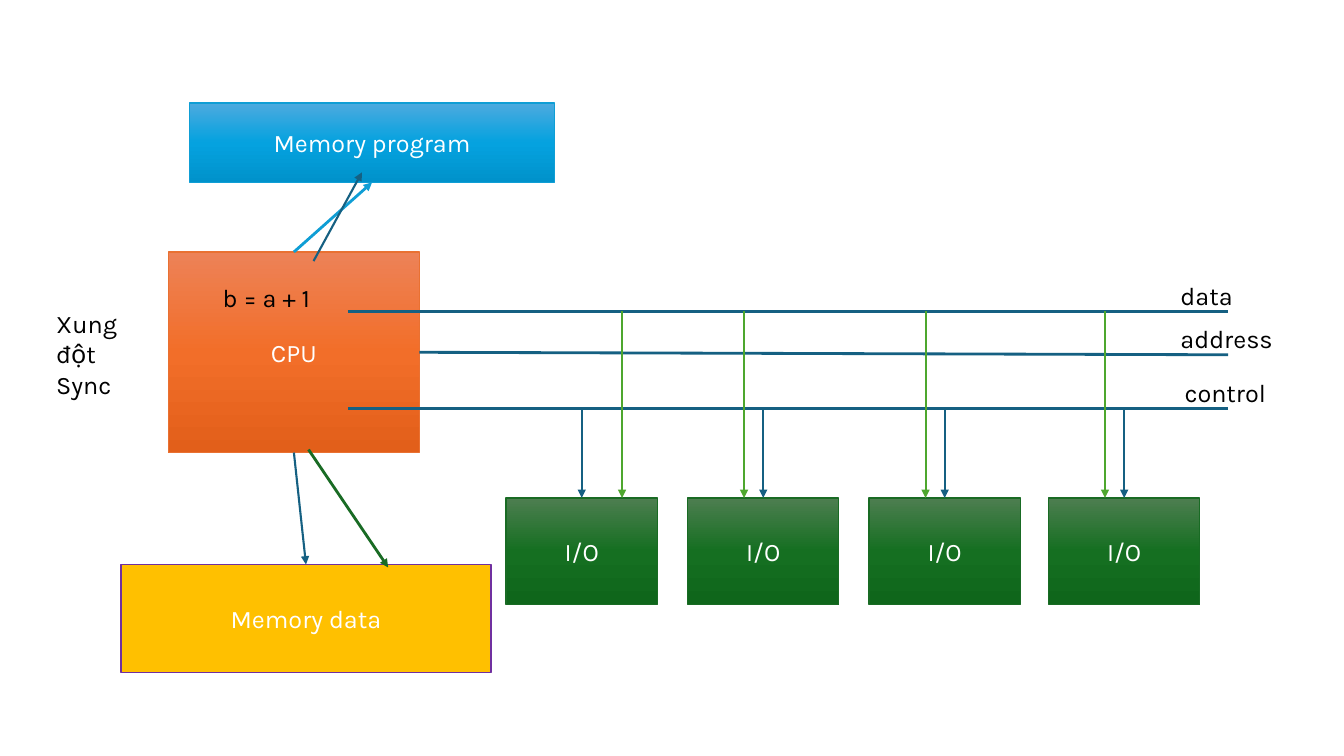
"""Draw a CPU with its memories, its three buses and four I/O blocks."""
from copy import deepcopy

from pptx import Presentation
from pptx.dml.color import RGBColor
from pptx.enum.shapes import MSO_CONNECTOR, MSO_SHAPE
from pptx.enum.text import MSO_ANCHOR, PP_ALIGN
from pptx.oxml.ns import qn
from pptx.util import Inches, Pt
from lxml.etree import SubElement

HUES = {
    "white": "FFFFFF", "black": "000000", "teal": "156082",
    "blue": "0F9ED5", "green": "196B24", "lime": "4EA72E",
    "orange": "E97132", "gold": "FFC000", "purple": "7030A0",
}
FADES = {
    "orange": ("ED8257", "F26E29", "E25F1A"),
    "blue": ("4CAADF", "05A2DF", "0092CB"),
    "green": ("4D7E50", "156F21", "0F661B"),
}


def write(shape, lines, hue, align):
    frame = shape.text_frame
    frame.word_wrap = True
    for i, line in enumerate(lines):
        para = frame.add_paragraph() if i else frame.paragraphs[0]
        para.alignment = align
        run = para.add_run()
        run.text = line
        run.font.name = "Karla"
        run.font.size = Pt(18)
        run.font.color.rgb = RGBColor.from_string(HUES[hue])


def wire(start, end, hue, width, tip=True):
    line = slide.shapes.add_connector(
        MSO_CONNECTOR.STRAIGHT, *[Inches(n) for n in start + end])
    line.line.color.rgb = RGBColor.from_string(HUES[hue])
    line.line.width = Pt(width)
    if tip:
        SubElement(line.line._get_or_add_ln(), qn("a:tailEnd"), type="triangle")
    SubElement(line._element.spPr, qn("a:effectLst"))
    return line


deck = Presentation()
deck.slide_width = Inches(13.33)
deck.slide_height = Inches(7.5)
slide = deck.slides.add_slide(deck.slide_layouts[6])

ports = [5.02, 6.82, 8.62, 10.4]
blocks = [
    ("CPU", 1.67, 2.5, 2.49, 1.99, "orange", "orange"),
    ("Memory program", 1.88, 1.02, 3.62, 0.79, "blue", "blue"),
    ("Memory data", 1.2, 5.6, 3.67, 1.07, "gold", "purple"),
] + [("I/O", x, 4.94, 1.5, 1.06, "green", "green") for x in ports]
made = []
for name, x, y, w, h, hue, edge in blocks:
    box = slide.shapes.add_shape(
        MSO_SHAPE.RECTANGLE, Inches(x), Inches(y), Inches(w), Inches(h))
    box.shadow.inherit = False
    if hue in FADES:
        box.fill.gradient()
        box.fill.gradient_angle = 270
        stops = box._element.spPr.find(qn("a:gradFill")).find(qn("a:gsLst"))
        stops.append(deepcopy(stops[-1]))
        for i, stop in enumerate(box.fill.gradient_stops):
            stop.position = i / 2
            stop.color.rgb = RGBColor.from_string(FADES[hue][i])
    else:
        box.fill.solid()
        box.fill.fore_color.rgb = RGBColor.from_string(HUES[hue])
    box.line.color.rgb = RGBColor.from_string(HUES[edge])
    box.line.width = Pt(1)
    box.text_frame.vertical_anchor = MSO_ANCHOR.MIDDLE
    write(box, [name], "white", PP_ALIGN.CENTER)
    made.append(box)
cpu, code, data, *units = made

wire((3.45, 3.09), (12.18, 3.09), "teal", 2, False)
bus = wire((4.16, 3.5), (12.18, 3.52), "teal", 2, False)
bus.begin_connect(cpu, 3)
wire((3.45, 4.05), (12.18, 4.05), "teal", 2, False)

for unit, x, tap in zip(units, ports, [6.17, 7.38, 9.18, 10.96]):
    drop = wire((x + 0.75, 4.05), (x + 0.75, 4.94), "teal", 1.5)
    drop.end_connect(unit, 0)
    wire((tap, 3.09), (tap, 4.94), "lime", 1.5)

fetch = wire((2.91, 2.5), (3.69, 1.81), "blue", 2)
fetch.begin_connect(cpu, 0)
fetch.end_connect(code, 2)
store = wire((2.91, 4.49), (3.04, 5.6), "teal", 1.5)
store.begin_connect(cpu, 2)
store.end_connect(data, 0)
wire((3.11, 2.59), (3.59, 1.71), "teal", 1.5)
wire((3.06, 4.46), (3.85, 5.63), "green", 2)

for lines, x, y, w, h in [
    (["data"], 11.61, 2.73, 1.18, 0.4),
    (["address"], 11.61, 3.16, 1.18, 0.4),
    (["control"], 11.65, 3.69, 1.18, 0.4),
    (["b = a + 1"], 2.11, 2.75, 1.14, 0.4),
    (["Xung đột", "Sync"], 0.46, 3.01, 1.13, 1.01),
]:
    note = slide.shapes.add_textbox(Inches(x), Inches(y), Inches(w), Inches(h))
    write(note, lines, "black", PP_ALIGN.LEFT)

deck.save("out.pptx")
